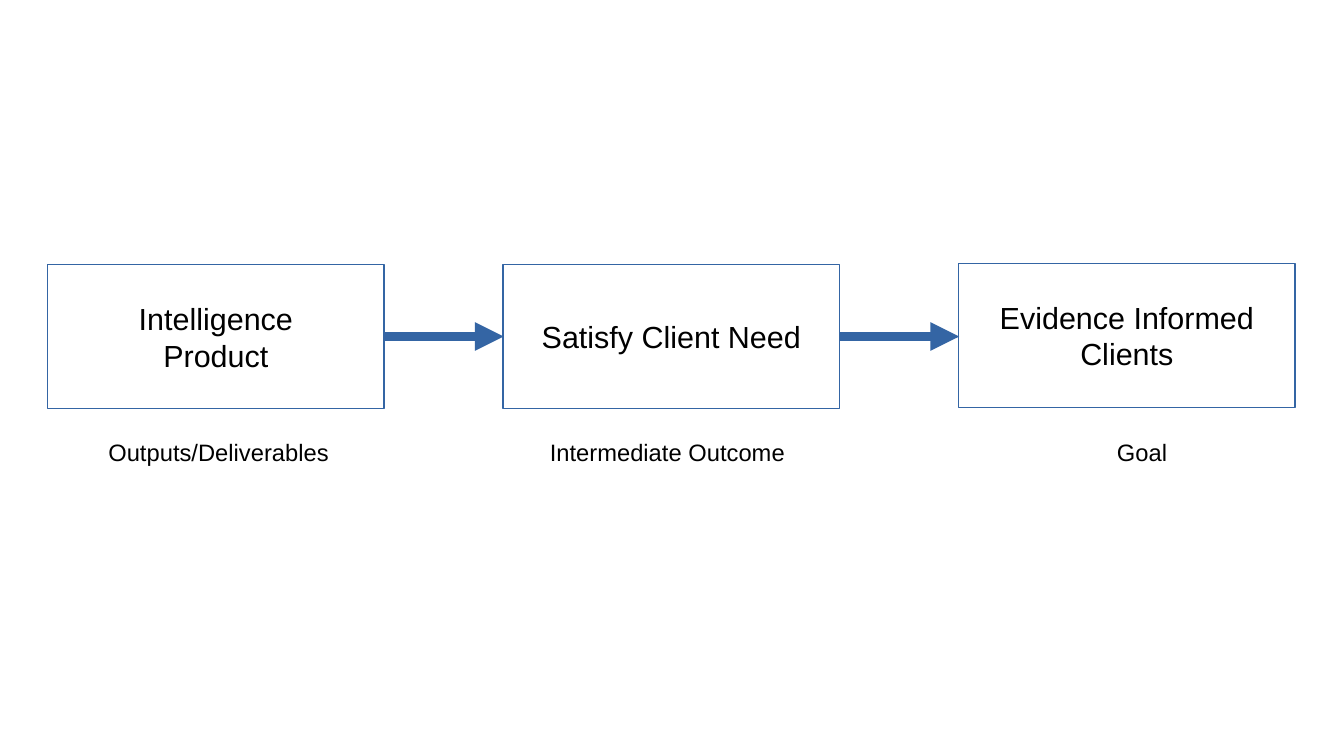
from lxml.etree import SubElement
from pptx import Presentation
from pptx.dml.color import RGBColor
from pptx.enum.shapes import MSO_CONNECTOR as Conn, MSO_SHAPE as Kind
from pptx.enum.text import MSO_ANCHOR as Anchor, MSO_AUTO_SIZE as Auto, PP_ALIGN as Align
from pptx.oxml.ns import qn
from pptx.util import Inches, Pt

STEPS = [
    ("Intelligence\nProduct", 2.17),
    ("Satisfy Client Need", 2.17),
    ("Evidence Informed Clients", 2.16),
]
LABELS = [
    ("Outputs/Deliverables", 0.79, 2.36),
    ("Intermediate Outcome", 4.41, 2.36),
    ("Goal", 9.06, 0.79),
]
LEFT, STEP, WIDE, HIGH = 0.39, 3.735, 2.76, 1.18
MID, GAP = 2.76, 0.98
BLUE, WHITE, BLACK = "3465A4", "FFFFFF", "000000"


def tint(part, color):
    part.solid()
    part.fore_color.rgb = RGBColor.from_string(color)


def write(frame, text, size, align):
    frame.text = text
    frame.word_wrap = True
    for para in frame.paragraphs:
        para.alignment = align
        for run in para.runs:
            run.font.name = "Arial"
            run.font.size = Pt(size)
            tint(run.font.fill, BLACK)


def add_box(shapes, text, x, y):
    box = shapes.add_shape(Kind.RECTANGLE, Inches(x), Inches(y), Inches(WIDE), Inches(HIGH))
    box.shadow.inherit = False
    tint(box.fill, WHITE)
    tint(box.line.fill, BLUE)
    box.line.width = Pt(0)
    box.text_frame.vertical_anchor = Anchor.MIDDLE
    write(box.text_frame, text, 18, Align.CENTER)


def add_arrow(shapes, x):
    arrow = shapes.add_connector(
        Conn.STRAIGHT, Inches(x), Inches(MID), Inches(x + GAP), Inches(MID))
    tint(arrow.line.fill, BLUE)
    arrow.line.width = Pt(5.67)
    SubElement(arrow.line._get_or_add_ln(), qn("a:tailEnd"), type="triangle")
    SubElement(arrow._element.spPr, qn("a:effectLst"))


def add_label(shapes, text, x, wide):
    label = shapes.add_textbox(Inches(x), Inches(3.54), Inches(wide), Inches(0.32))
    write(label.text_frame, text, 14, Align.LEFT)
    label.text_frame.auto_size = Auto.SHAPE_TO_FIT_TEXT


def main():
    deck = Presentation()
    deck.slide_width, deck.slide_height = Inches(11.02), Inches(6.2)
    shapes = deck.slides.add_slide(deck.slide_layouts[6]).shapes
    for i, (text, y) in enumerate(STEPS):
        add_box(shapes, text, LEFT + i * STEP, y)
    for i in range(len(STEPS) - 1):
        add_arrow(shapes, LEFT + WIDE + i * STEP)
    for label in LABELS:
        add_label(shapes, *label)
    deck.save("out.pptx")


if __name__ == "__main__":
    main()
